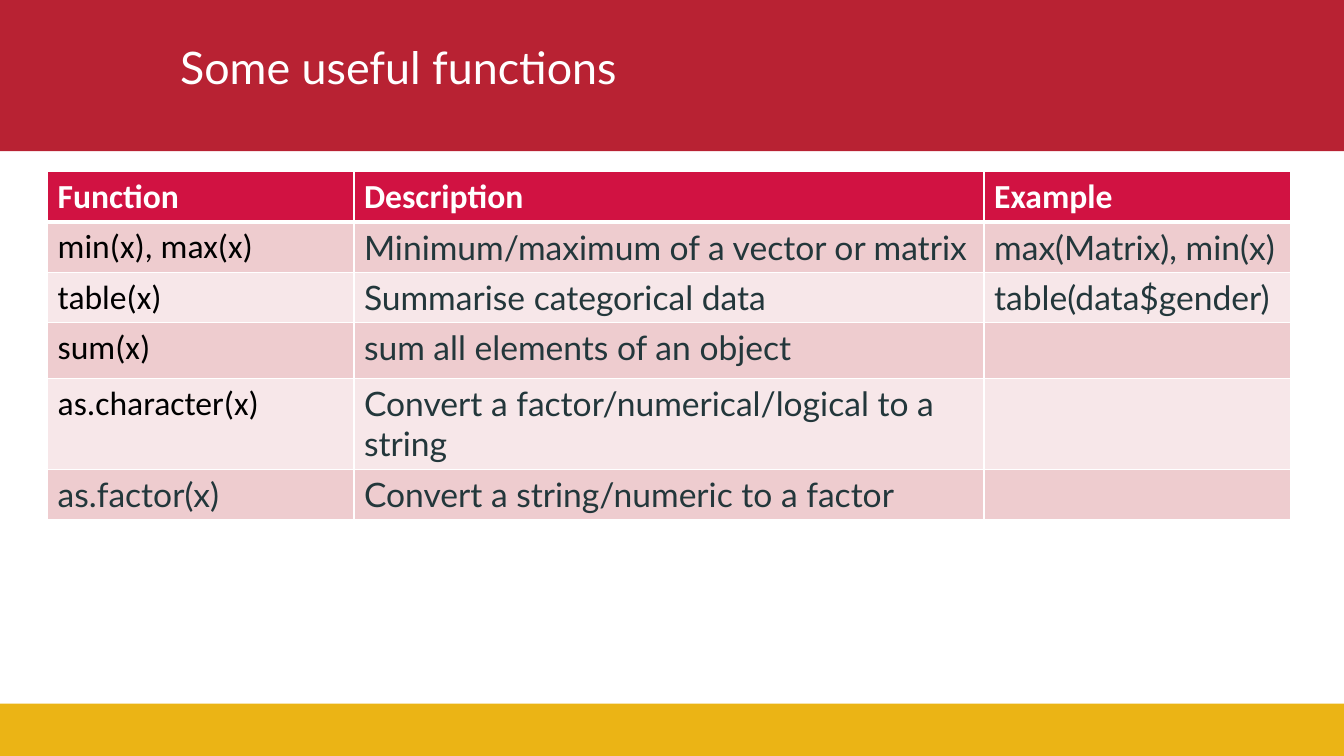
from dataclasses import dataclass

from lxml.etree import SubElement
from pptx import Presentation
from pptx.dml.color import RGBColor
from pptx.enum.shapes import MSO_SHAPE as Shape
from pptx.enum.text import MSO_ANCHOR as Anchor
from pptx.oxml.ns import qn
from pptx.util import Cm, Pt

COLORS = {
    "red": "B82233", "gold": "EBB415", "header": "D11242",
    "dark_row": "EECCCF", "light_row": "F7E7E9",
    "white": "FFFFFF", "black": "000000", "slate": "23373B",
}

TITLE = {"name": "Lato", "size": Pt(32), "color": "white"}
HEADER = {"name": "Calibri", "size": Pt(24), "bold": True, "color": "white"}
CODE = {"name": "Calibri", "size": Pt(24), "bold": False, "color": "black"}
BODY = {"name": "Lato", "size": Pt(24), "bold": False, "color": "slate"}


@dataclass
class Band:
    left: float
    top: float
    width: float
    height: float
    color: str


@dataclass
class FunctionRow:
    function: str
    description: str
    example: str = ""
    height: float = 1.27
    name_format: dict | None = None


BANDS = [
    Band(-0.05, -0.05, 33.96, 3.86, "red"),
    Band(0, 17.73, 33.96, 1.32, "gold"),
]
COLUMN_WIDTHS = [7.72, 15.88, 7.72]
ROWS = [
    FunctionRow("Function", "Description", "Example", name_format=HEADER),
    FunctionRow("min(x), max(x)", "Minimum/maximum of a vector or matrix",
                "max(Matrix), min(x)", name_format=CODE),
    FunctionRow("table(x)", "Summarise categorical data",
                "table(data$gender)", name_format=CODE),
    FunctionRow("sum(x)", "sum all elements of an object",
                height=1.4, name_format=CODE),
    FunctionRow("as.character(x)",
                "Convert a factor/numerical/logical to a string",
                height=2.29, name_format=CODE),
    FunctionRow("as.factor(x)", "Convert a string/numeric to a factor",
                name_format=BODY),
]


def rgb(name: str) -> RGBColor:
    return RGBColor.from_string(COLORS[name])


def add_text(tf, text: str, fmt: dict) -> None:
    r = tf.paragraphs[0].add_run()
    r.text = text
    for key, value in fmt.items():
        if key == "color":
            r.font.color.rgb = rgb(value)
        else:
            setattr(r.font, key, value)


def add_band(s, band: Band) -> None:
    sp = s.shapes.add_shape(Shape.RECTANGLE, Cm(band.left), Cm(band.top),
                            Cm(band.width), Cm(band.height))
    sp.shadow.inherit = False
    sp.fill.solid()
    sp.fill.fore_color.rgb = rgb(band.color)
    sp.line.fill.background()


def add_title(s, text: str) -> None:
    tf = s.shapes.add_textbox(Cm(4.29), Cm(0.76), Cm(27.76), Cm(1.85)).text_frame
    tf.word_wrap = True
    tf.vertical_anchor = Anchor.MIDDLE
    add_text(tf, text, TITLE)


def set_borders(cell, widths: dict[str, float]) -> None:
    # Border lines must come before the fill in the cell properties
    tc_pr = cell._tc.get_or_add_tcPr()
    for i, (side, width) in enumerate(widths.items()):
        ln = SubElement(tc_pr, qn(f"a:ln{side}"), w=str(Pt(width)))
        fill = SubElement(ln, qn("a:solidFill"))
        SubElement(fill, qn("a:srgbClr"), val=COLORS["white"])
        tc_pr.insert(i, ln)


def add_function_table(s, rows: list[FunctionRow]) -> None:
    table = s.shapes.add_table(
        len(rows), len(COLUMN_WIDTHS), Cm(1.2), Cm(4.32),
        Cm(sum(COLUMN_WIDTHS)), Cm(sum(row.height for row in rows))).table
    for column, width in zip(table.columns, COLUMN_WIDTHS):
        column.width = Cm(width)

    for i, row in enumerate(rows):
        table.rows[i].height = Cm(row.height)
        fill = "header" if i == 0 else "dark_row" if i % 2 else "light_row"
        top, bottom = {0: (1, 3), 1: (3, 1)}.get(i, (1, 1))
        for j, text in enumerate((row.function, row.description, row.example)):
            cell = table.cell(i, j)
            cell.fill.solid()
            cell.fill.fore_color.rgb = rgb(fill)
            set_borders(cell, {"L": 1, "R": 1, "T": top, "B": bottom})
            if text:
                fmt = row.name_format if i == 0 or j == 0 else BODY
                add_text(cell.text_frame, text, fmt)


def main() -> None:
    prs = Presentation()
    prs.slide_width, prs.slide_height = Cm(33.87), Cm(19.05)
    s = prs.slides.add_slide(prs.slide_layouts[6])

    # Top and bottom bands
    for band in BANDS:
        add_band(s, band)

    # Title and table
    add_title(s, "Some useful functions")
    add_function_table(s, ROWS)

    prs.save("out.pptx")


if __name__ == "__main__":
    main()
